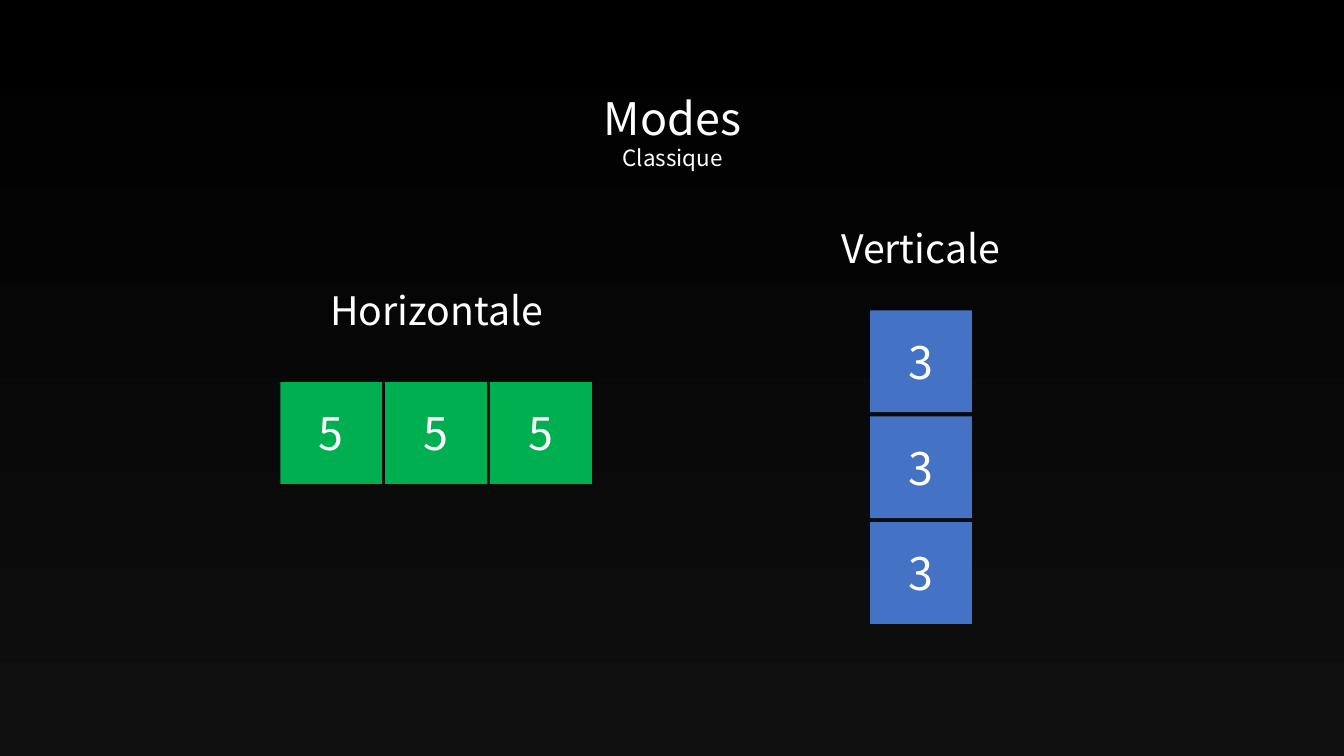
from pptx import Presentation, util as u
from pptx.dml.color import RGBColor
from pptx.enum import shapes, text

WIDTH, HEIGHT = 13.33, 7.5
SQUARE = 1.01
TC, JP = "Noto Sans CJK TC", "Noto Sans CJK JP"

prs = Presentation()
prs.slide_width, prs.slide_height = u.Inches(WIDTH), u.Inches(HEIGHT)
slide = prs.slides.add_slide(prs.slide_layouts[6])


def color(value):
    return RGBColor.from_string(value)


def write(holder, lines, font, anchor):
    frame = holder.text_frame
    frame.word_wrap = True
    frame.vertical_anchor = anchor
    frame.text = "\n".join(line for line, size in lines)
    for paragraph, (line, size) in zip(frame.paragraphs, lines):
        paragraph.alignment = text.PP_ALIGN.CENTER
        style = {"name": font, "size": u.Pt(size)}
        for key, value in style.items():
            setattr(paragraph.runs[0].font, key, value)
        paragraph.runs[0].font.color.rgb = color("FFFFFF")


# Background fading from black to dark grey, downwards
backdrop = slide.background.fill
backdrop.gradient()
backdrop.gradient_angle = 270
for stop, (position, shade) in zip(backdrop.gradient_stops, [(0, "000000"), (1, "0F0F0F")]):
    stop.position = position
    stop.color.rgb = color(shade)

# Title and mode headings
headings = [
    (4.33, 0.85, 4.68, 0.91, TC, [("Modes", 32), ("Classique", 16)]),
    (2.87, 2.79, 2.92, 0.57, JP, [("Horizontale", 28)]),
    (8.09, 2.18, 2.08, 0.57, JP, [("Verticale", 28)]),
]
for left, top, width, height, font, lines in headings:
    heading = slide.shapes.add_textbox(*map(u.Inches, (left, top, width, height)))
    write(heading, lines, font, text.MSO_ANCHOR.TOP)

# Three matching squares in a row, then three in a column
matches = [
    ("5", "00B050", 2.78, 3.79, 1.04, 0),
    ("3", "4472C4", 8.63, 3.08, 0, 1.05),
]
for digit, fill, left, top, step_x, step_y in matches:
    for i in range(3):
        square = slide.shapes.add_shape(
            shapes.MSO_SHAPE.RECTANGLE,
            u.Inches(left + i * step_x), u.Inches(top + i * step_y),
            u.Inches(SQUARE), u.Inches(SQUARE))
        square.shadow.inherit = False
        square.fill.solid()
        square.fill.fore_color.rgb = color(fill)
        square.line.fill.background()
        write(square, [(digit, 32)], TC, text.MSO_ANCHOR.MIDDLE)

prs.save("out.pptx")
